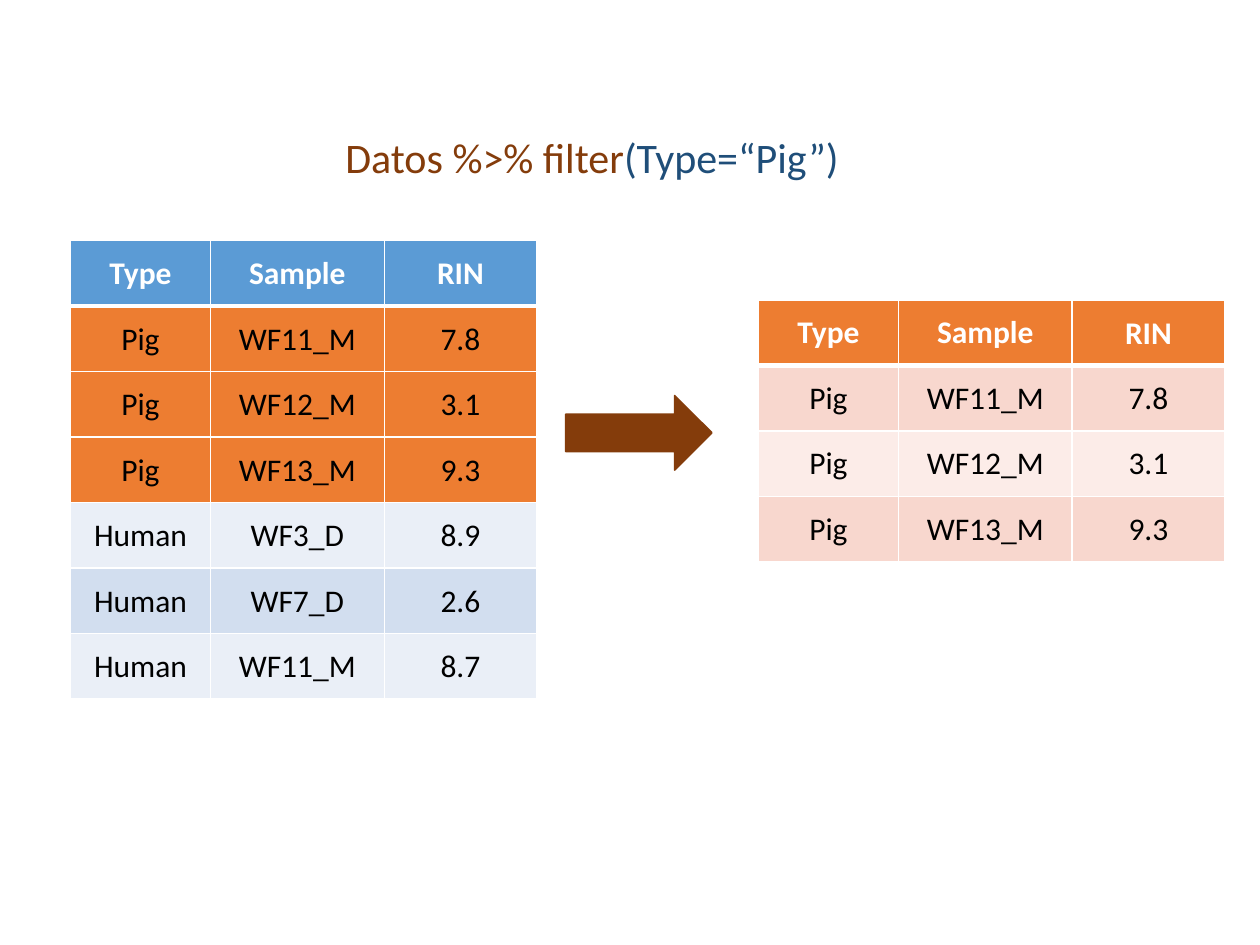
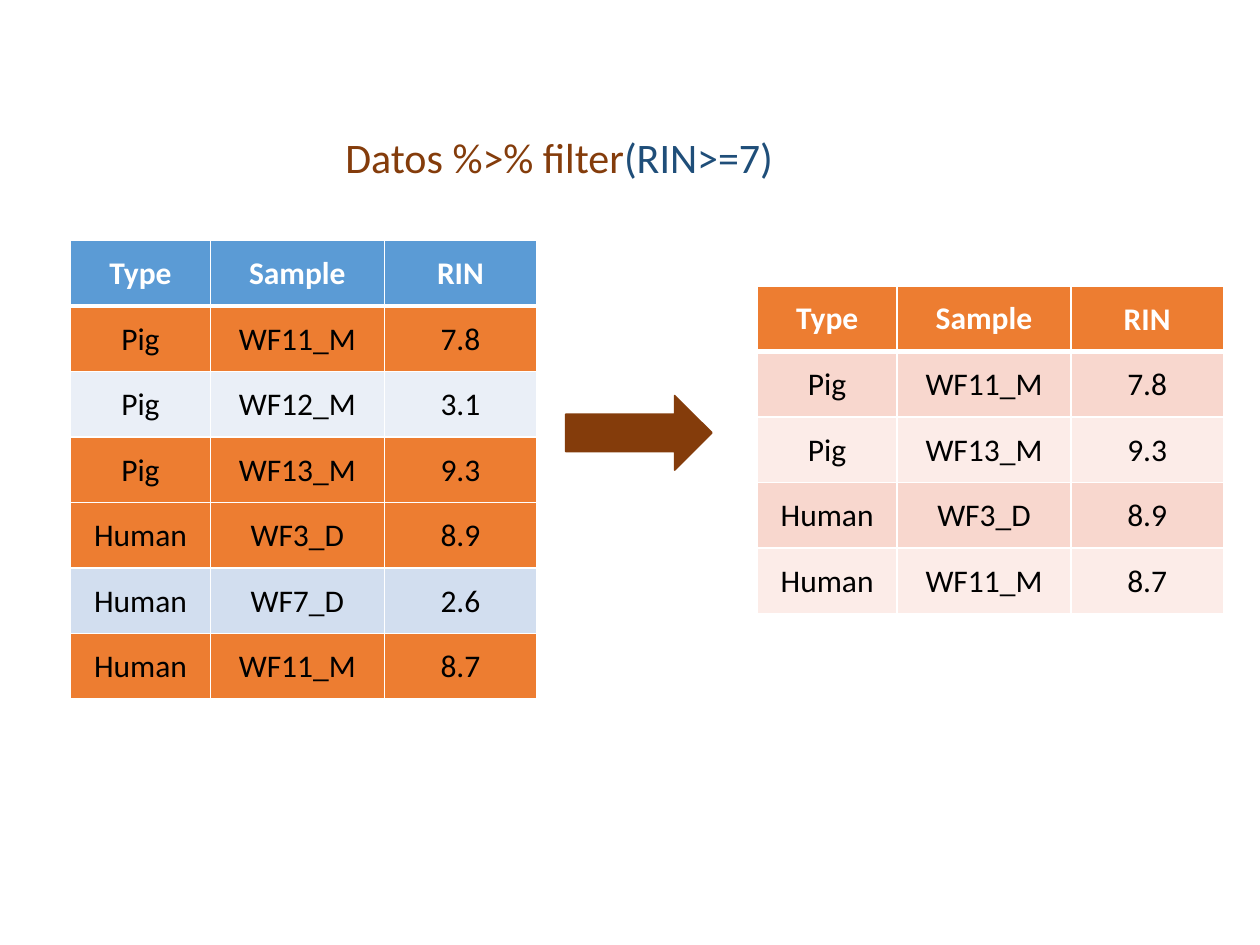
from lxml import etree
from pptx import Presentation
from pptx.dml.color import RGBColor
from pptx.enum import shapes, text
from pptx.oxml import ns
from pptx.util import Inches, Pt

FONT = "Calibri"
WHITE, BLACK = "FFFFFF", "000000"
BROWN, NAVY = "843C0B", "1F4E79"
BLUE, ORANGE = "5B9BD5", "ED7D31"
BLUES = ["D2DEEF", "EAEFF7"]
PINKS = ["F8D7CE", "FCECE8"]
WIDTHS = [1.11, 1.38, 1.21]
ROW = 0.52

HEAD = ("Type", "Sample", "RIN")
DATA = [
    ("Pig", "WF11_M", "7.8"),
    ("Pig", "WF12_M", "3.1"),
    ("Pig", "WF13_M", "9.3"),
    ("Human", "WF3_D", "8.9"),
    ("Human", "WF7_D", "2.6"),
    ("Human", "WF11_M", "8.7"),
]


def add_run(para, words, size, color, bold=False):
    run = para.add_run()
    run.text = words
    run.font.name = FONT
    run.font.size = Pt(size)
    run.font.bold = bold
    run.font.color.rgb = RGBColor.from_string(color)


def add_grid(slide, left, top, rows, fills):
    """Add a table with a header row and one fill colour per row."""
    rows = [HEAD] + rows
    frame = slide.shapes.add_table(
        len(rows), len(HEAD), Inches(left), Inches(top),
        Inches(sum(WIDTHS)), Inches(ROW * len(rows)))
    grid = frame.table
    for col, width in zip(grid.columns, WIDTHS):
        col.width = Inches(width)
    for r, row in enumerate(rows):
        grid.rows[r].height = Inches(ROW)
        for c, words in enumerate(row):
            cell = grid.cell(r, c)
            cell.vertical_anchor = text.MSO_ANCHOR.MIDDLE
            if r > 0 or c == 2:
                cell.margin_left = cell.margin_right = Inches(0.01)
                cell.margin_top, cell.margin_bottom = Inches(0.01), 0
            para = cell.text_frame.paragraphs[0]
            para.alignment = text.PP_ALIGN.CENTER
            add_run(para, words, 18, BLACK if r else WHITE, r == 0)

            # A thick rule parts the header from the rows below it
            props = cell._tc.get_or_add_tcPr()
            for side in "LRTB":
                thick = (r, side) in [(0, "B"), (1, "T")]
                line = etree.SubElement(props, ns.qn("a:ln" + side),
                                        w=str(Pt(3 if thick else 1)))
                solid = etree.SubElement(line, ns.qn("a:solidFill"))
                etree.SubElement(solid, ns.qn("a:srgbClr"), val=WHITE)
            cell.fill.solid()
            cell.fill.fore_color.rgb = RGBColor.from_string(fills[r])


# Filter call, title width, place of the result, rows that pass
STEPS = [
    ("(Type=“Pig”)", 4.14, 6.02, 2.38, lambda row: row[0] == "Pig"),
    ("(RIN>=7)", 3.63, 6.01, 2.27, lambda row: float(row[2]) >= 7),
]

deck = Presentation()
deck.slide_width, deck.slide_height = Inches(10), Inches(7.5)

for call, width, left, top, passes in STEPS:
    slide = deck.slides.add_slide(deck.slide_layouts[5])

    title = slide.shapes.title
    title.left, title.top = Inches(2.64), Inches(0.99)
    title.width, title.height = Inches(width), Inches(0.5)
    body = title.text_frame
    body.word_wrap = False
    body.auto_size = text.MSO_AUTO_SIZE.SHAPE_TO_FIT_TEXT
    body.vertical_anchor = text.MSO_ANCHOR.TOP
    para = body.paragraphs[0]
    para.alignment = text.PP_ALIGN.LEFT
    add_run(para, "Datos %>% filter", 24, BROWN)
    add_run(para, call, 24, NAVY)

    arrow = slide.shapes.add_shape(
        shapes.MSO_SHAPE.RIGHT_ARROW,
        Inches(4.49), Inches(3.14), Inches(1.16), Inches(0.59))
    arrow.shadow.inherit = False
    arrow.fill.solid()
    arrow.fill.fore_color.rgb = RGBColor.from_string(BROWN)
    arrow.line.color.rgb = RGBColor.from_string(BROWN)
    arrow.line.width = Pt(1)

    marks = [ORANGE if passes(row) else BLUES[i % 2]
             for i, row in enumerate(DATA)]
    add_grid(slide, 0.56, 1.91, DATA, [BLUE] + marks)

    kept = [row for row in DATA if passes(row)]
    bands = [PINKS[i % 2] for i in range(len(kept))]
    add_grid(slide, left, top, kept, [ORANGE] + bands)

deck.save("out.pptx")
